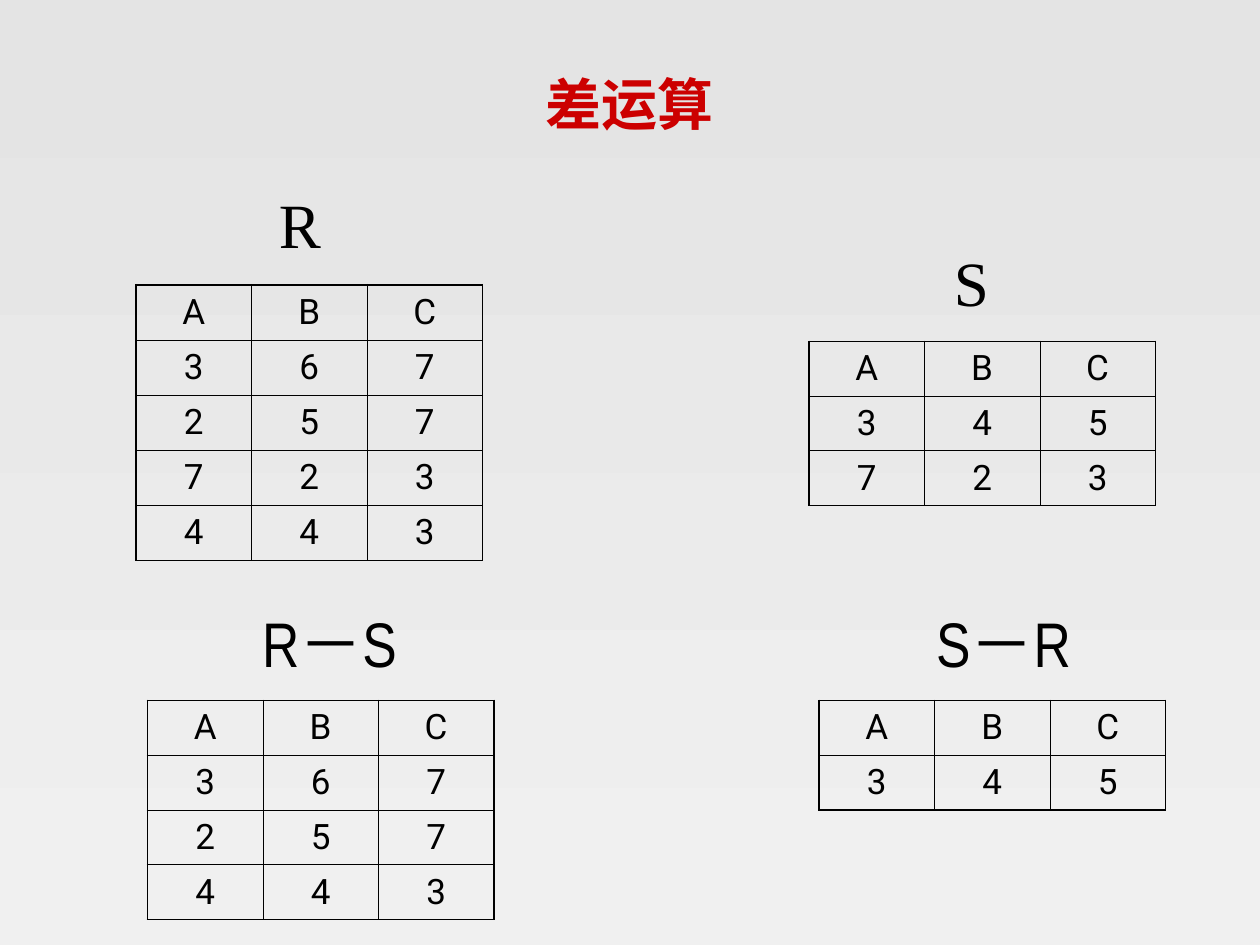
"""Build the slide on the relational difference operation."""
from dataclasses import dataclass

from lxml.etree import SubElement
from pptx import Presentation
from pptx.dml.color import RGBColor
from pptx.enum.text import MSO_ANCHOR, MSO_AUTO_SIZE, PP_ALIGN
from pptx.oxml.ns import qn
from pptx.util import Inches, Pt


@dataclass(frozen=True)
class Theme:
    title_color: str = "CC0000"
    ink: str = "000000"
    bg: tuple = ("E4E4E4", "F0F0F0")
    serif: str = "Times New Roman"
    narrow: str = "Arial Narrow"
    cell_font: str = "Roboto"
    title_size: int = 32
    label_size: int = 36
    cell_size: int = 20
    outer: float = 1.08
    inner: float = 0.45


T = Theme()
TITLE = "差运算"
HEADER = "ABC"
TABLE_W = 2.75
RELATIONS = [
    {"label": "R", "font": T.serif, "label_box": (1.92, 1.42, 0.92, 0.7),
     "at": (1.08, 2.26), "height": 2.19, "rows": ["367", "257", "723", "443"]},
    {"label": "S", "font": T.serif, "label_box": (7.25, 1.88, 0.92, 0.7),
     "at": (6.42, 2.71), "height": 1.3, "rows": ["345", "723"]},
    {"label": "R－S", "font": T.narrow, "label_box": (1.78, 4.75, 1.67, 0.7),
     "at": (1.17, 5.56), "height": 1.74, "rows": ["367", "257", "443"]},
    {"label": "S－R", "font": T.narrow, "label_box": (7.12, 4.75, 1.69, 0.7),
     "at": (6.5, 5.56), "height": 0.87, "rows": ["345"]},
]


def write(tf, text, font, size, color, bold=False):
    p = tf.paragraphs[0]
    p.text = text
    p.alignment = PP_ALIGN.CENTER
    p.font.name, p.font.size, p.font.bold = font, Pt(size), bold
    p.font.color.rgb = RGBColor.from_string(color)


def set_borders(cell, edges):
    tc_pr = cell._tc.get_or_add_tcPr()
    for side, is_outer in edges.items():
        width = Pt(T.outer if is_outer else T.inner)
        ln = SubElement(tc_pr, qn(f"a:ln{side}"), w=str(int(width)))
        fill = SubElement(ln, qn("a:solidFill"))
        SubElement(fill, qn("a:srgbClr"), val=T.ink)


def add_title(slide):
    sp = slide.shapes.title
    sp.left, sp.top, sp.width, sp.height = map(Inches, (0.75, 0.48, 8.5, 0.67))
    tf = sp.text_frame
    tf.auto_size = MSO_AUTO_SIZE.NONE
    tf.vertical_anchor = MSO_ANCHOR.MIDDLE
    write(tf, TITLE, T.serif, T.title_size, T.title_color, bold=True)


def add_label(slide, rel):
    tf = slide.shapes.add_textbox(*map(Inches, rel["label_box"])).text_frame
    tf.word_wrap = True
    tf.vertical_anchor = MSO_ANCHOR.BOTTOM
    write(tf, rel["label"], rel["font"], T.label_size, T.ink)


def add_relation(slide, rel):
    rows = [HEADER, *rel["rows"]]
    n_rows, n_cols = len(rows), len(HEADER)
    box = map(Inches, (*rel["at"], TABLE_W, rel["height"]))
    table = slide.shapes.add_table(n_rows, n_cols, *box).table
    table.first_row = table.horz_banding = False
    for i, row in enumerate(rows):
        for j, value in enumerate(row):
            cell = table.cell(i, j)
            cell.vertical_anchor = MSO_ANCHOR.MIDDLE
            set_borders(cell, {"L": j == 0, "R": j == n_cols - 1,
                               "T": i == 0, "B": i == n_rows - 1})
            cell.fill.background()
            write(cell.text_frame, value, T.cell_font, T.cell_size, T.ink)


def main():
    prs = Presentation()
    prs.slide_width, prs.slide_height = Inches(10), Inches(7.5)
    slide = prs.slides.add_slide(prs.slide_layouts[5])
    fill = slide.background.fill
    fill.gradient()
    fill.gradient_angle = 270
    for stop, color in zip(fill.gradient_stops, T.bg):
        stop.color.rgb = RGBColor.from_string(color)
    add_title(slide)
    for rel in RELATIONS:
        add_relation(slide, rel)
        add_label(slide, rel)
    prs.save("out.pptx")


if __name__ == "__main__":
    main()
